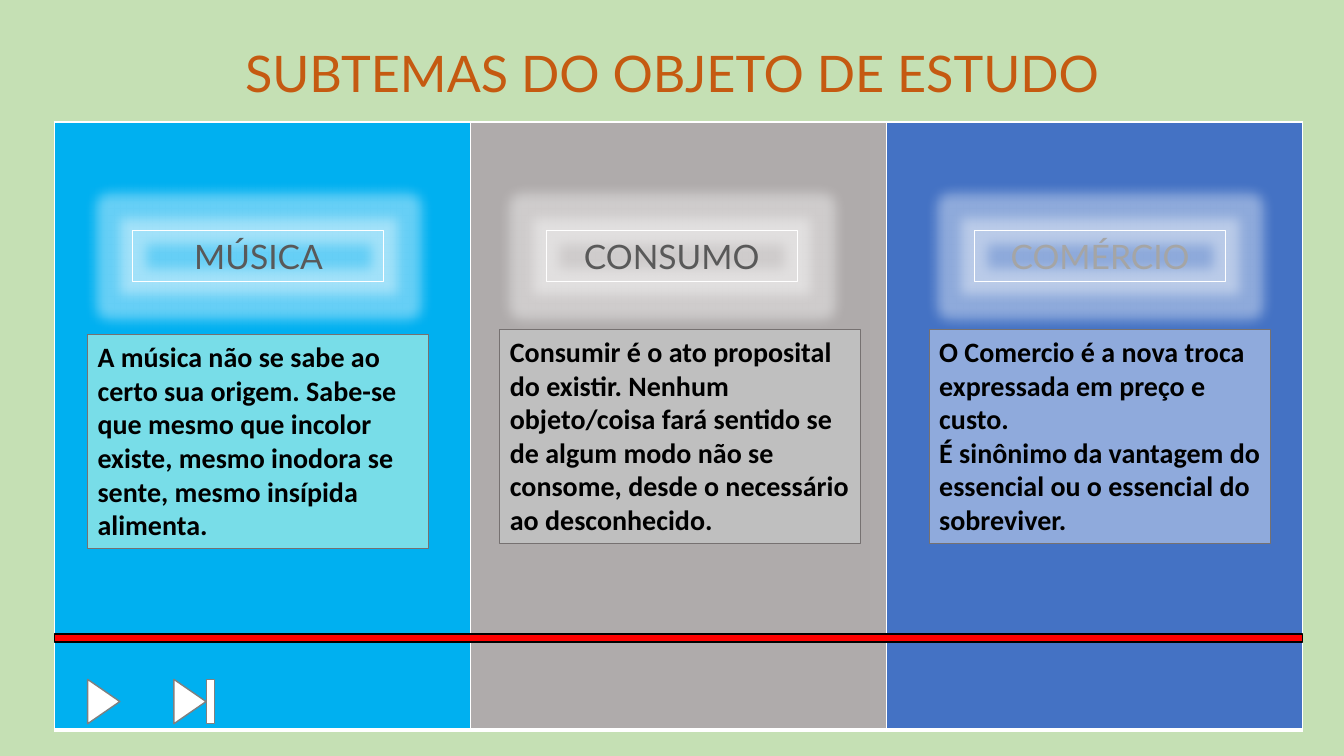
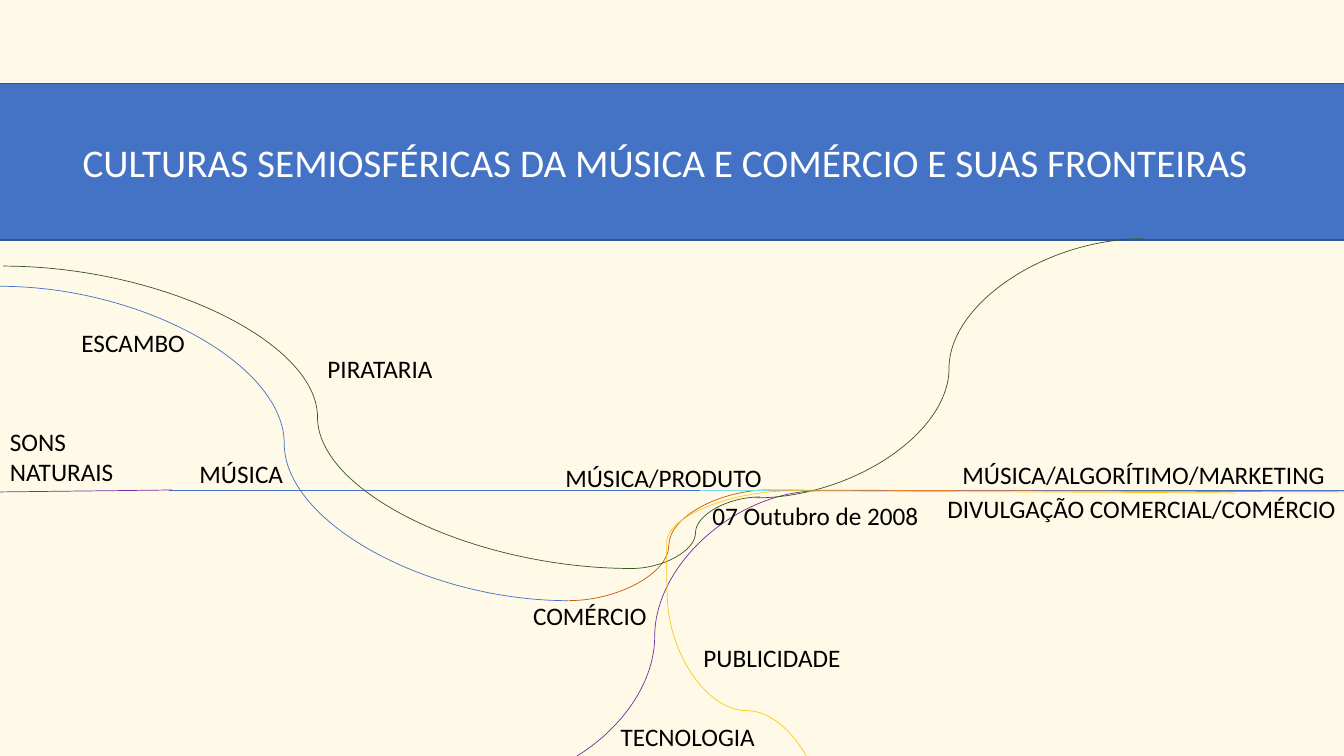
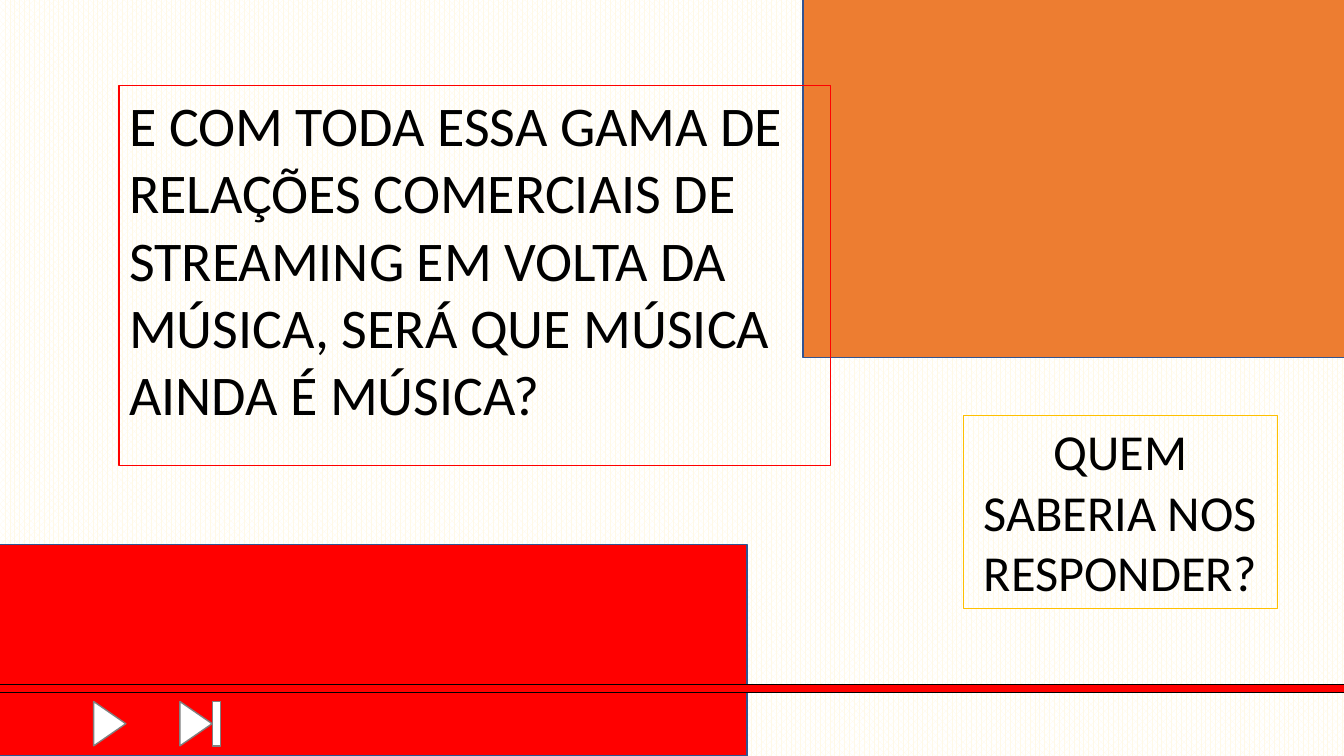
from dataclasses import dataclass

from lxml import etree
from pptx import Presentation
from pptx.dml.color import RGBColor
from pptx.enum.dml import MSO_PATTERN
from pptx.enum.shapes import MSO_CONNECTOR, MSO_SHAPE
from pptx.enum.text import MSO_ANCHOR, MSO_AUTO_SIZE, PP_ALIGN
from pptx.oxml.ns import qn
from pptx.util import Pt

RECT, TRIANGLE = MSO_SHAPE.RECTANGLE, MSO_SHAPE.ISOSCELES_TRIANGLE
STRAIGHT, CURVE = MSO_CONNECTOR.STRAIGHT, MSO_CONNECTOR.CURVE
LEFT, CENTER = PP_ALIGN.LEFT, PP_ALIGN.CENTER
TOP, MIDDLE = MSO_ANCHOR.TOP, MSO_ANCHOR.MIDDLE
NO_AUTOFIT = MSO_AUTO_SIZE.NONE
PCT70 = MSO_PATTERN.PERCENT_70
TITLE_ONLY = 5


@dataclass(frozen=True)
class Theme:
    body_font: str = "Calibri"
    display_font: str = "Lato"
    # Colours
    black: str = "000000"
    white: str = "FFFFFF"
    green: str = "C5E0B4"
    cream: str = "FFF9E7"
    sky: str = "00B0F0"
    stone: str = "AFABAB"
    blue: str = "4472C4"
    navy: str = "325491"
    aqua: str = "78DDE8"
    silver: str = "BFBFBF"
    periwinkle: str = "8FAADC"
    edge: str = "767171"
    gray: str = "808080"
    dark_gray: str = "595959"
    light_gray: str = "A5A5A5"
    red: str = "FF0000"
    orange: str = "ED7D31"
    rust: str = "C55A11"
    gold: str = "FFC000"
    yellow: str = "FFC819"
    forest: str = "385723"
    purple: str = "7030A0"
    plum: str = "762EA2"
    # Type sizes
    label: int = 18
    card: int = 20
    heading: int = 24
    band: int = 28
    title: int = 36
    question: int = 40


T = Theme()
PATTERN = (T.cream, T.white)


def rgb(value):
    return RGBColor.from_string(value)


def set_fill(fill, value):
    """Fill with nothing, a colour, or a (foreground, background) pattern."""
    if value is None:
        fill.background()
    elif isinstance(value, tuple):
        fill.patterned()
        fill.pattern = PCT70
        fill.fore_color.rgb, fill.back_color.rgb = map(rgb, value)
    else:
        fill.solid()
        fill.fore_color.rgb = rgb(value)


def set_line(line, color, width):
    line.color.rgb = rgb(color)
    line.width = Pt(width)


def place(sp, box):
    for name, value in zip(("left", "top", "width", "height"), box):
        setattr(sp, name, Pt(value))


def write(sp, text, size, color=T.black, font=T.body_font, bold=False,
          align=LEFT, anchor=TOP):
    tf = sp.text_frame
    frame = {"word_wrap": True, "auto_size": NO_AUTOFIT, "vertical_anchor": anchor}
    for name, value in frame.items():
        setattr(tf, name, value)
    p = tf.paragraphs[0]
    p.text, p.alignment = text, align
    for r in p.runs:
        for name, value in {"name": font, "size": Pt(size), "bold": bold}.items():
            setattr(r.font, name, value)
        r.font.color.rgb = rgb(color)


def add_box(s, box, fill=None, line=T.black, width=1, kind=RECT):
    sp = s.shapes.add_shape(kind, *map(Pt, box))
    sp.shadow.inherit = False
    set_fill(sp.fill, fill)
    set_line(sp.line, line, width)
    return sp


def add_slide(prs, background):
    s = prs.slides.add_slide(prs.slide_layouts[TITLE_ONLY])
    set_fill(s.background.fill, background)
    return s


def add_title(s, box, text, size, **style):
    """Place the title placeholder in front of what is already drawn."""
    sp = s.shapes.title
    sp.element.getparent().append(sp.element)
    place(sp, box)
    write(sp, text, size, **style)
    return sp


# Media player parts
def progress_bar(s, x, y, w):
    add_box(s, (x, y, w, 5.8), T.red)


def player_controls(s, x, y):
    w, h = 23, 31.7
    inset = (w - h) / 2
    for left in (x, x + 61.6):
        play = add_box(s, (left + inset, y - inset, h, w), T.white, T.gray, kind=TRIANGLE)
        play.rotation = 90
    add_box(s, (x + 85, y, 5.8, h), T.white, T.gray)


# Subtopic slide
def column_panel(s, box, colors):
    table = s.shapes.add_table(1, len(colors), *map(Pt, box)).table
    for i, color in enumerate(colors):
        table.columns[i].width = Pt(box[2] / len(colors))
        cell = table.cell(0, i)
        set_fill(cell.fill, color)
        borders = {"lnL": 1, "lnR": 1, "lnT": 1, "lnB": 3}
        for n, (side, width) in enumerate(borders.items()):
            ln = etree.Element(qn("a:" + side), w=str(Pt(width)))
            solid = etree.SubElement(ln, qn("a:solidFill"))
            etree.SubElement(solid, qn("a:srgbClr"), val=T.white)
            cell._tc.get_or_add_tcPr().insert(n, ln)


def add_glow(sp, radius, alpha):
    effects = sp.element.spPr.find(qn("a:effectLst"))
    glow = etree.SubElement(effects, qn("a:glow"), rad=str(Pt(radius)))
    color = etree.SubElement(glow, qn("a:srgbClr"), val=T.white)
    etree.SubElement(color, qn("a:alpha"), val=str(alpha * 1000))


def subtopic(s, heading_x, heading, heading_color, card, fill, text):
    sp = add_box(s, (heading_x, 164.9, 179.3, 36), None, T.white, 0.75)
    add_glow(sp, 18, 40)
    write(sp, heading, T.heading, heading_color, T.display_font, align=CENTER)
    sp = add_box(s, card, fill, T.edge, 0.75)
    write(sp, text, T.card, bold=True)


def subtopics_slide(prs):
    s = add_slide(prs, T.green)
    x, w = 38.9, 891.4
    column_panel(s, (x, 87.1, w, 434.2), (T.sky, T.stone, T.blue))
    add_title(s, (167.8, 26.6, 674.6, 51.1), "SUBTEMAS DO OBJETO DE ESTUDO",
              T.title, color=T.rust, font=T.display_font)
    subtopics = (
        (95, "MÚSICA", T.dark_gray, (62.6, 239, 243.4, 152.6), T.aqua,
         "A música não se sabe ao certo sua origem. Sabe-se que mesmo que incolor "
         "existe, mesmo inodora se sente, mesmo insípida alimenta."),
        (390.2, "CONSUMO", T.dark_gray, (357.1, 235.4, 257.8, 152.6), T.silver,
         "Consumir é o ato proposital do existir. Nenhum objeto/coisa fará sentido "
         "se de algum modo não se consome, desde o necessário ao desconhecido."),
        (696.2, "COMÉRCIO", T.light_gray, (663.8, 235.4, 243.4, 152.6), T.periwinkle,
         "O Comercio é a nova troca expressada em preço e custo.\n"
         "É sinônimo da vantagem do essencial ou o essencial do sobreviver."),
    )
    for item in subtopics:
        subtopic(s, *item)
    progress_bar(s, x, 452.9, w)
    player_controls(s, 62.6, 485.3)


# Timeline slide
def add_path(s, kind, color, start, end, adj=None, vertical=False):
    """Draw a thin line; a vertical curve leaves and arrives vertically."""
    if vertical:
        cx, cy = ((a + b) / 2 for a, b in zip(start, end))
        start, end = ((cx - (y - cy), cy + (x - cx)) for x, y in (start, end))
    cn = s.shapes.add_connector(kind, *map(Pt, (*start, *end)))
    set_line(cn.line, color, 0.5)
    spPr = cn.element.spPr
    etree.SubElement(spPr, qn("a:effectLst"))
    if vertical:
        spPr.find(qn("a:xfrm")).set("rot", str(270 * 60000))
    if adj is not None:
        guides = spPr.find(qn("a:prstGeom")).find(qn("a:avLst"))
        etree.SubElement(guides, qn("a:gd"), name="adj1", fmla=f"val {adj}")


def add_label(s, x, y, w, text, h=28.8):
    write(s.shapes.add_textbox(*map(Pt, (x, y, w, h))), text, T.label)


def timeline_slide(prs):
    s = add_slide(prs, T.cream)
    band = add_title(s, (-22.3, 59.8, 994.3, 111.6),
                     "CULTURAS SEMIOSFÉRICAS DA MÚSICA E COMÉRCIO E SUAS FRONTEIRAS",
                     T.band, color=T.white, align=CENTER, anchor=MIDDLE)
    set_fill(band.fill, T.blue)
    set_line(band.line, T.navy, 1)

    # Main axis and the streams that meet it
    axis, edge = 350, 972.7
    paths = (
        (STRAIGHT, T.blue, (121, axis), (542.9, axis)),
        (CURVE, T.blue, (0, 204.5), (406.1, 429.1)),
        (CURVE, T.rust, (406.1, 429.1), (549.4, axis)),
        (CURVE, T.forest, (2.2, 190.1), (451.4, 406.1)),
        (STRAIGHT, T.plum, (123.1, axis), (0, 351.4)),
        (STRAIGHT, T.aqua, (499.7, axis), (edge, axis)),
        (CURVE, T.forest, (450.7, 406.1), (542.9, 355)),
        (CURVE, T.purple, (349.9, 558.7), (585.4, 350.6)),
        (CURVE, T.forest, (539.3, 355.7), (816.5, 170.6)),
        (CURVE, T.yellow, (589.7, 591.1), (476.6, 424.1), None, True),
        (CURVE, T.yellow, (476.6, 424.8), (566.6, 350.6), -500),
        (STRAIGHT, T.blue, (582.5, axis), (edge, axis)),
        (STRAIGHT, T.orange, (548.6, axis), (edge, 351.4)),
        (STRAIGHT, T.yellow, (566.6, 350.6), (882.7, 352.1)),
    )
    for path_args in paths:
        add_path(s, *path_args)

    # Labels: left, top, width, text
    labels = (
        (135.4, 324, 103, "MÚSICA"),
        (51.1, 230.4, 103, "ESCAMBO"),
        (373.7, 425.5, 109.4, "COMÉRCIO"),
        (226.8, 249.1, 109.4, "PIRATARIA"),
        (0, 301, 103, "SONS NATURAIS", 51.1),
        (396.7, 326.9, 158.4, "MÚSICA/PRODUTO"),
        (680.4, 324.7, 287.3, "MÚSICA/ALGORÍTIMO/MARKETING"),
        (436.3, 511.9, 118.1, "TECNOLOGIA"),
        (495.4, 455, 118.1, "PUBLICIDADE"),
        (669.6, 348.5, 298.1, "DIVULGAÇÃO COMERCIAL/COMÉRCIO"),
        (501.8, 353.5, 175.7, "07 Outubro de 2008"),
    )
    for label in labels:
        add_label(s, *label)


# Closing question slide
def question_slide(prs):
    s = add_slide(prs, PATTERN)
    add_box(s, (-15.1, 388.8, 548.6, 151.2), T.red, T.navy)
    add_box(s, (573.5, -19.1, 433.4, 274.3), T.orange, T.navy)
    question = add_title(
        s, (85, 61.2, 508.3, 271.4),
        "E COM TODA ESSA GAMA DE RELAÇÕES COMERCIAIS DE STREAMING EM VOLTA DA "
        "MÚSICA, SERÁ QUE MÚSICA AINDA É MÚSICA?", T.question)
    set_line(question.line, T.red, 0.75)
    sp = add_box(s, (688.3, 296.6, 223.9, 138.2), PATTERN, T.gold, 0.75)
    write(sp, "QUEM SABERIA NOS RESPONDER?", T.title, align=CENTER)
    progress_bar(s, -3.6, 488.9, 967.7)
    player_controls(s, 66.9, 501.1)


def main():
    prs = Presentation()
    prs.slide_width, prs.slide_height = Pt(960), Pt(540)
    for build in (subtopics_slide, timeline_slide, question_slide):
        build(prs)
    prs.save("out.pptx")


if __name__ == "__main__":
    main()
